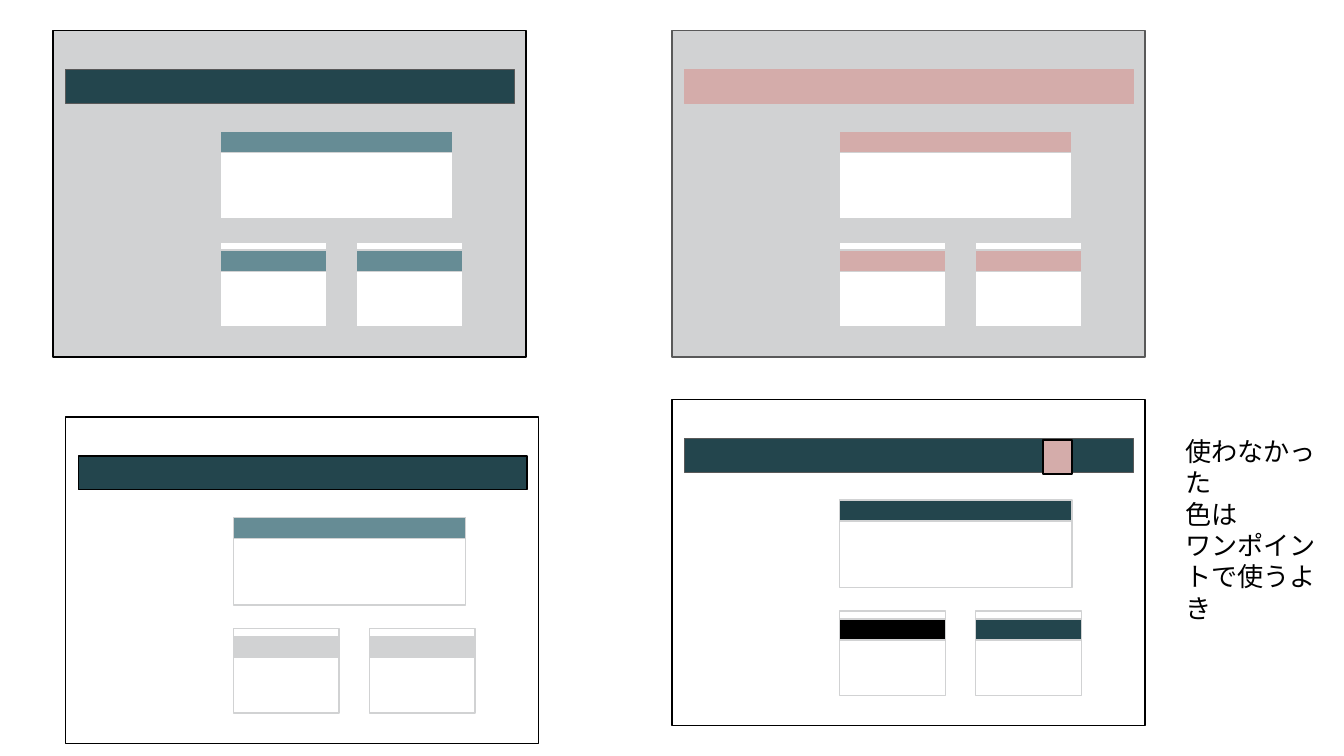
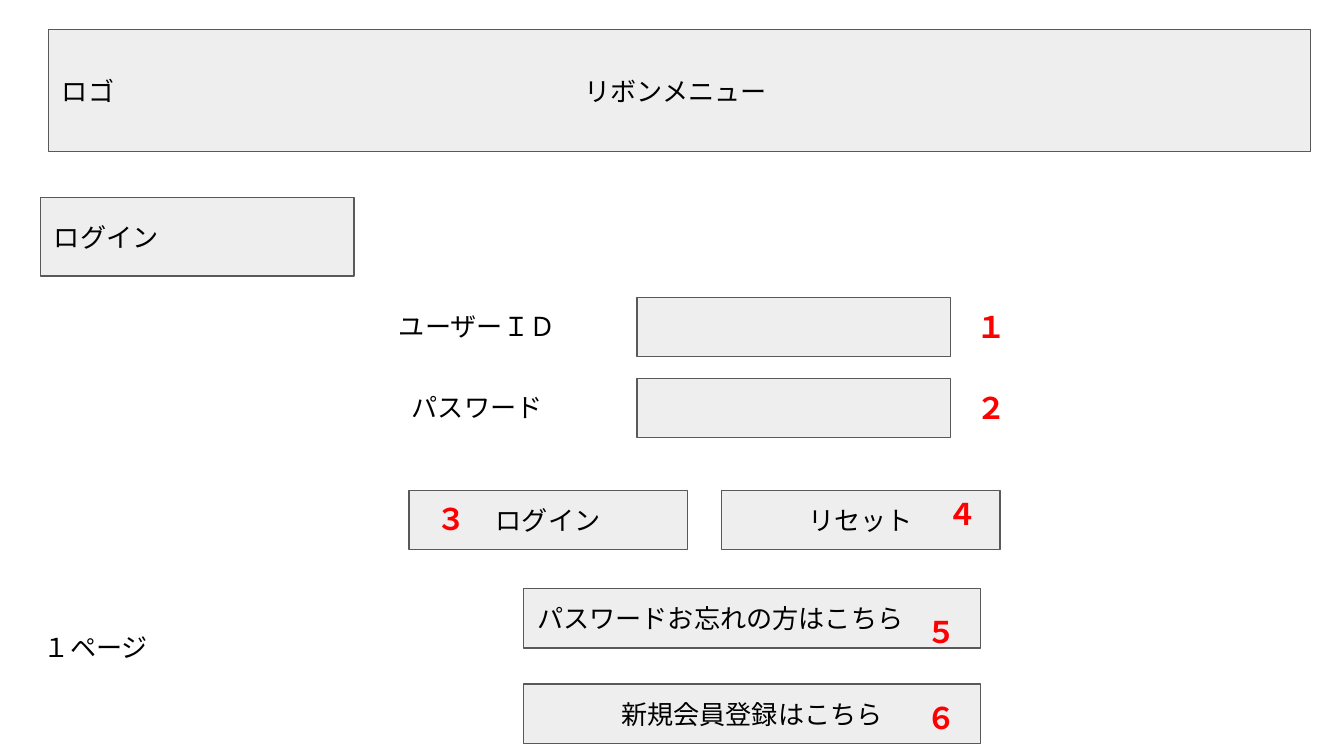
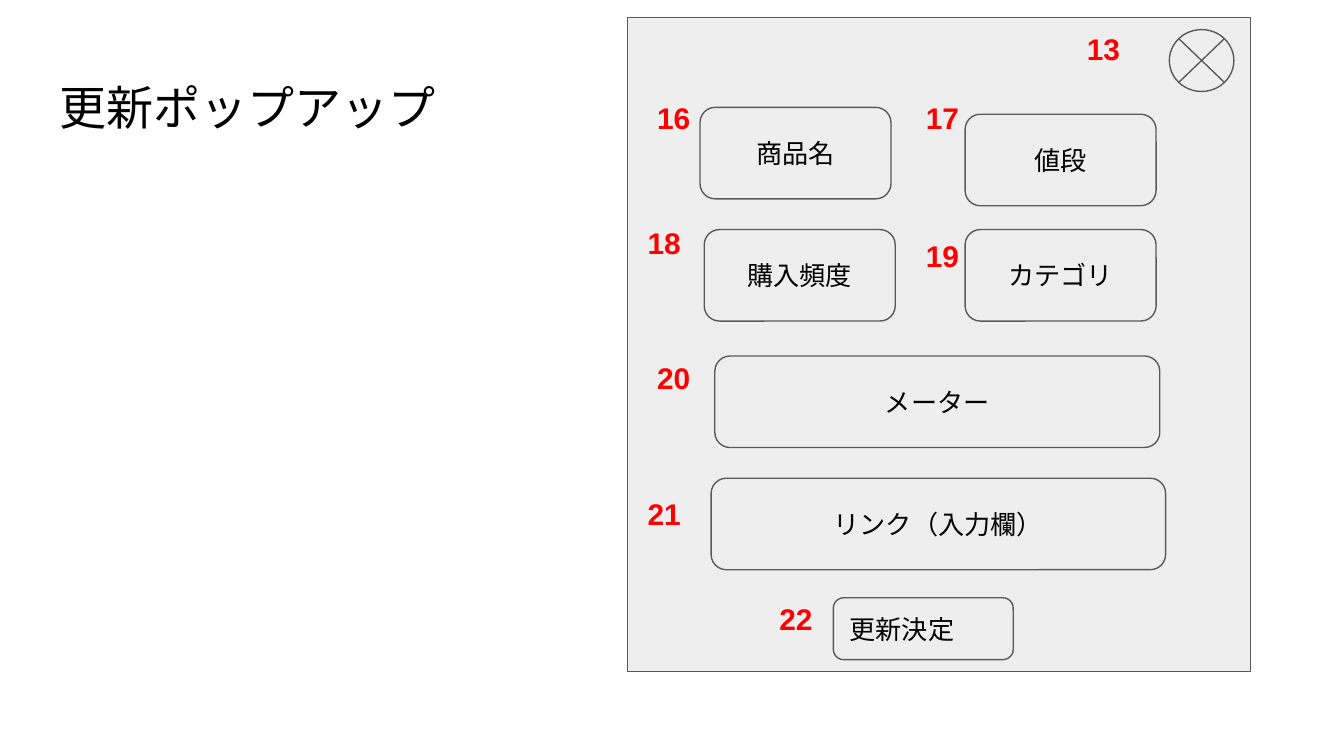
from lxml import etree
from pptx import Presentation
from pptx import util as u
from pptx.dml.color import RGBColor
from pptx.enum import lang, shapes, text
from pptx.oxml import ns

FONT = "Arial"
BLACK, WHITE, RED = "000000", "FFFFFF", "FF0000"
PALE, OUTLINE = "EEEEEE", "595959"
GREY, DEEP, TEAL, PINK = "D1D2D3", "23454D", "668C95", "D4ACAA"
KIND = shapes.MSO_SHAPE
LEFT, CENTER = text.PP_ALIGN.LEFT, text.PP_ALIGN.CENTER


def rgb(value):
    return RGBColor.from_string(value)


class Deck:
    def __init__(self):
        self.prs = Presentation()
        self.prs.slide_width, self.prs.slide_height = u.Cm(25.4), u.Cm(14.29)
        self.slide = self.canvas = None

    def new_slide(self, layout=6):
        self.slide = self.prs.slides.add_slide(self.prs.slide_layouts[layout])
        self.canvas = self.slide.shapes

    def start_group(self):
        self.canvas = self.slide.shapes.add_group_shape().shapes

    def end_group(self):
        self.canvas = self.slide.shapes

    def set_lines(self, frame, lines, size=14, color=BLACK, bold=False,
                  align=LEFT, anchor=text.MSO_ANCHOR.TOP):
        frame.word_wrap = True
        frame.vertical_anchor = anchor
        frame.margin_left = frame.margin_right = u.Cm(0.25)
        frame.margin_top = frame.margin_bottom = u.Cm(0.25)
        for index, line in enumerate(lines):
            paragraph = frame.add_paragraph() if index else frame.paragraphs[0]
            paragraph.alignment = align
            run = paragraph.add_run()
            run.text = line
            font = run.font
            font.name, font.size, font.bold = FONT, u.Pt(size), bold
            font.color.rgb = rgb(color)
            font.language_id = lang.MSO_LANGUAGE_ID.JAPANESE
            east_asian = etree.SubElement(font._element, ns.qn("a:ea"))
            east_asian.set("typeface", FONT)

    def title(self, words, left, top, width, height):
        holder = self.slide.shapes.title
        holder.left, holder.top = u.Cm(left), u.Cm(top)
        holder.width, holder.height = u.Cm(width), u.Cm(height)
        self.set_lines(holder.text_frame, [words], size=25.2)
        holder.text_frame.auto_size = text.MSO_AUTO_SIZE.NONE

    def box(self, left, top, width, height, words=None, align=CENTER,
            fill=PALE, line=OUTLINE, kind=KIND.RECTANGLE):
        shape = self.canvas.add_shape(
            kind, u.Cm(left), u.Cm(top), u.Cm(width), u.Cm(height))
        shape.shadow.inherit = False
        shape.fill.solid()
        shape.fill.fore_color.rgb = rgb(fill)
        shape.line.color.rgb = rgb(line)
        shape.line.width = u.Pt(0.75)
        if words:
            self.set_lines(shape.text_frame, [words], align=align,
                           anchor=text.MSO_ANCHOR.MIDDLE)
        return shape

    def label(self, left, top, width, height, lines, **style):
        frame = self.canvas.add_textbox(
            u.Cm(left), u.Cm(top), u.Cm(width), u.Cm(height)).text_frame
        self.set_lines(frame, lines, **style)
        frame.auto_size = text.MSO_AUTO_SIZE.SHAPE_TO_FIT_TEXT

    def mark(self, number, left, top, width):
        self.label(left, top, width, 1.19, [number],
                   size=16, color=RED, bold=True)

    def tab_stop(self, shape, position):
        props = shape.text_frame.paragraphs[0]._p.get_or_add_pPr()
        stops = etree.SubElement(props, ns.qn("a:tabLst"))
        etree.SubElement(stops, ns.qn("a:tab"),
                         pos=str(u.Cm(position)), algn="l")

    def mockup(self, left, top, page, border, bar, bar_line, headers):
        self.box(left, top, 8.94, 6.17, fill=page, line=border)
        self.box(left + 0.24, top + 0.74, 8.48, 0.64, fill=bar, line=bar_line)
        cards = [(3.17, 1.96, 4.39, -0.06),
                 (3.17, 4.0, 2.0, 0.15),
                 (5.74, 4.0, 2.0, 0.15)]
        for (x, y, width, drop), header in zip(cards, headers):
            self.box(left + x, top + y, width, 1.6, fill=WHITE, line=GREY)
            self.box(left + x, top + y + drop, width, 0.4,
                     fill=header, line=GREY)


def color_schemes(deck):
    deck.new_slide()
    deck.mockup(1.0, 0.58, GREY, BLACK, DEEP, OUTLINE, [TEAL] * 3)
    deck.mockup(12.7, 0.58, GREY, OUTLINE, PINK, PINK, [PINK] * 3)
    deck.mockup(1.24, 7.88, WHITE, BLACK, DEEP, BLACK, [TEAL, GREY, GREY])
    deck.mockup(12.7, 7.55, WHITE, BLACK, DEEP, OUTLINE, [DEEP, BLACK, DEEP])
    deck.label(22.15, 7.98, 3.07, 4.7,
               ["使わなかった", "色は", "ワンポイントで使うよき"])
    deck.box(19.71, 8.32, 0.55, 0.64, fill=PINK, line=BLACK)


def login_page(deck):
    deck.new_slide()
    ribbon = deck.box(0.92, 0.56, 23.85, 2.31, "ロゴ\tリボンメニュー", LEFT)
    deck.tab_stop(ribbon, 9.88)
    deck.box(0.77, 3.74, 5.92, 1.48, "ログイン", LEFT)
    for top, caption in [(5.62, "ユーザーＩＤ"), (7.15, "パスワード")]:
        deck.box(12.04, top, 5.92, 1.12)
        deck.label(6.68, top, 4.68, 1.12, [caption], align=CENTER)
    for left, action in [(7.73, "ログイン"), (13.64, "リセット")]:
        deck.box(left, 9.27, 5.26, 1.12, action)
    deck.box(9.9, 11.13, 8.63, 1.12, "パスワードお忘れの方はこちら", LEFT)
    deck.box(9.9, 12.93, 8.63, 1.12, "新規会員登録はこちら")
    for number, left, top in [("１", 18.21, 5.59), ("２", 18.21, 7.12),
                              ("３", 8.0, 9.22), ("４", 17.65, 9.12),
                              ("５", 17.27, 11.35), ("６", 17.27, 12.98)]:
        deck.mark(number, left, top, 1.25)
    deck.label(0.58, 11.68, 6.27, 1.12, ["１ページ"])


def update_popup(deck):
    deck.new_slide(layout=5)
    deck.title("更新ポップアップ", 0.87, 1.24, 23.67, 1.6)
    deck.start_group()
    deck.box(11.86, 0.33, 11.78, 12.37)
    for name, left, top, width in [("商品名", 13.23, 2.03, 3.61),
                                   ("値段", 18.24, 2.16, 3.61),
                                   ("購入頻度", 13.31, 4.34, 3.61),
                                   ("カテゴリ", 18.24, 4.34, 3.61),
                                   ("メーター", 13.51, 6.73, 8.41),
                                   ("リンク（入力欄）", 13.44, 9.04, 8.59)]:
        deck.box(left, top, width, 1.73, name, kind=KIND.ROUNDED_RECTANGLE)
    deck.box(22.1, 0.56, 1.22, 1.17, kind=KIND.FLOWCHART_SUMMING_JUNCTION)
    deck.box(15.75, 11.3, 3.4, 1.17, "更新決定", LEFT,
             kind=KIND.ROUNDED_RECTANGLE)
    deck.end_group()
    for number, left, top in [("13", 20.29, 0.33), ("16", 12.17, 1.63),
                              ("17", 17.25, 1.63), ("18", 11.99, 3.99),
                              ("19", 17.25, 4.24), ("20", 12.17, 6.55),
                              ("21", 11.99, 9.12), ("22", 14.48, 11.1)]:
        deck.mark(number, left, top, 1.96)


def main():
    deck = Deck()
    color_schemes(deck)
    login_page(deck)
    update_popup(deck)
    deck.prs.save("out.pptx")


if __name__ == "__main__":
    main()
